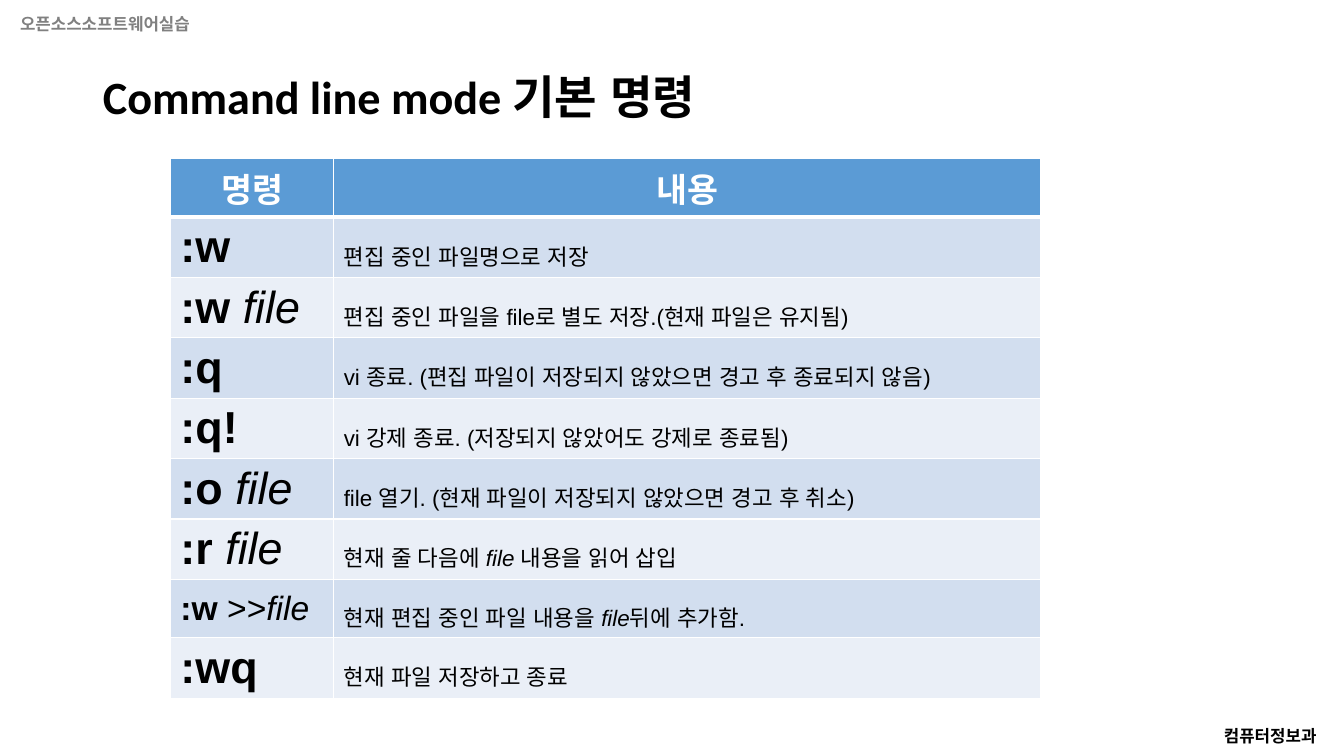
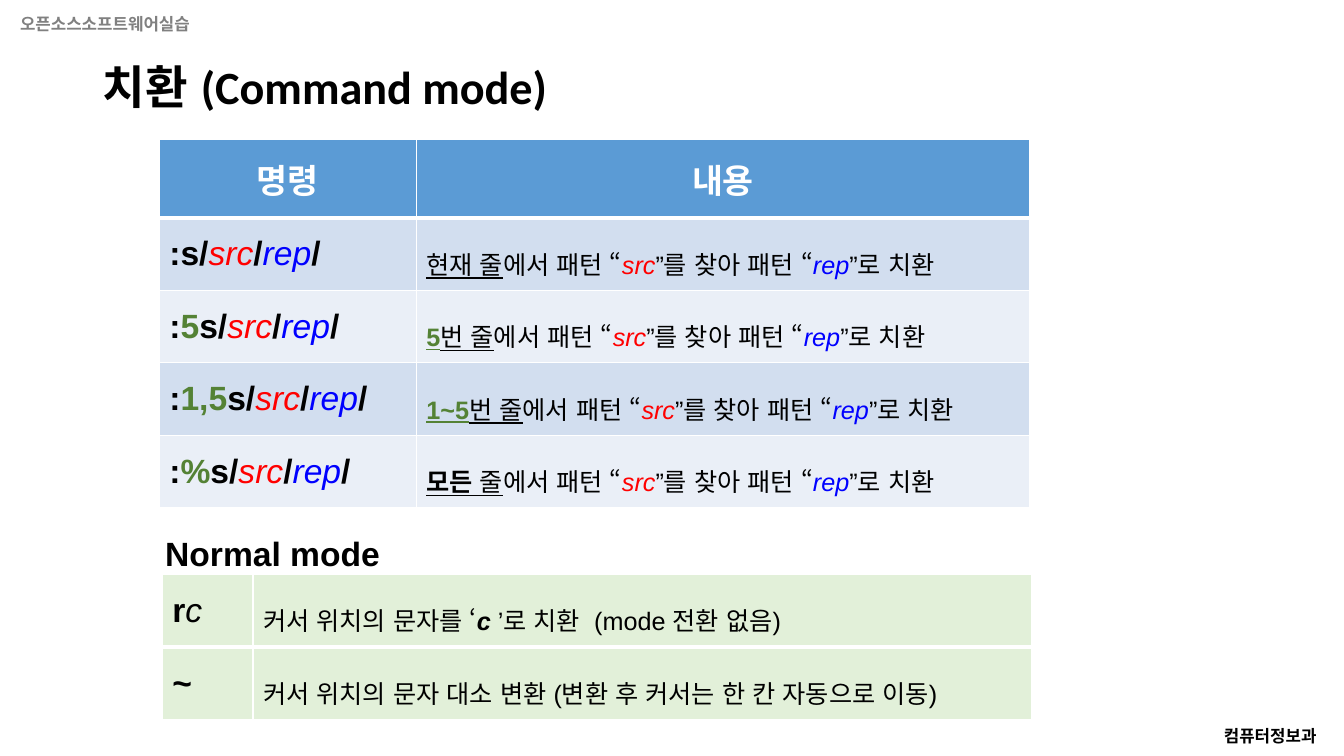
"""Build two slides on vi command-line and substitution commands."""
from lxml import etree
from pptx import Presentation
from pptx import util as u
from pptx.dml.color import RGBColor
from pptx.enum import lang, text
from pptx.oxml.ns import qn

THEME = {
    "ink": "000000", "grey": "808080", "white": "FFFFFF",
    "head": "5B9BD5", "bands": ("D2DEEF", "EAEFF7"), "mint": ("E2F0D9",),
    "title_font": "Calibri", "body_font": "Arial",
    "title": 33, "large": 32, "medium": 24, "note": 18, "small": 16, "label": 12,
    "thin": 1, "thick": 3,
}
STYLES = {
    "plain": {"bold": False},
    "italic": {"bold": False, "italic": True},
    "strong": {"bold": True, "italic": True},
    "source": {"bold": False, "italic": True, "color": "FF0000"},
    "replacement": {"bold": False, "italic": True, "color": "0000FF"},
    "range": {"bold": True, "color": "548235"},
    "range_line": {"bold": True, "color": "548235", "underline": True},
    "bold_line": {"bold": True, "underline": True},
    "line": {"underline": True},
}
FILE = ("file", "italic")
SOURCE = ("src", "source")
REPLACEMENT = ("rep", "replacement")
HEADINGS = ("명령", "내용")

COURSE = "오픈소스소프트웨어실습"
DEPARTMENT = "컴퓨터정보과"
TITLES = ("Command line mode 기본 명령", "치환 (Command mode)")
BASIC_COMMANDS = [
    ([":w"], ["편집 중인 파일명으로 저장"]),
    ([":w ", FILE], ["편집 중인 파일을 file로 별도 저장.(현재 파일은 유지됨)"]),
    ([":q"], ["vi 종료. (편집 파일이 저장되지 않았으면 경고 후 종료되지 않음)"]),
    ([":q!"], ["vi 강제 종료. (저장되지 않았어도 강제로 종료됨)"]),
    ([":o ", FILE], ["file 열기. (현재 파일이 저장되지 않았으면 경고 후 취소)"]),
    ([":r ", FILE], ["현재 줄 다음에 ", FILE, " 내용을 읽어 삽입"]),
    ([":w ", (">>", "plain"), FILE],
     ["현재 편집 중인 파일 내용을 ", FILE, "뒤에 추가함."]),
    ([":wq"], ["현재 파일 저장하고 종료"]),
]
SUBSTITUTION_TARGETS = [
    ([":"], [("현재 줄", "line")]),
    ([":", ("5", "range")], [("5", "range_line"), ("번 줄", "line")]),
    ([":", ("1,5", "range")], [("1~5", "range_line"), ("번 줄", "line")]),
    ([":", ("%", "range")], [("모든", "bold_line"), (" 줄", "line")]),
]
SUBSTITUTIONS = [
    (prefix + ["s/", SOURCE, "/", REPLACEMENT, "/"],
     target + ["에서 패턴 “", SOURCE, "”를 찾아 패턴 “", REPLACEMENT, "”로 치환"])
    for prefix, target in SUBSTITUTION_TARGETS
]
NORMAL_HEADING = "Normal mode"
NORMAL_COMMANDS = [
    (["r", ("c", "italic")],
     ["커서 위치의 문자를 ‘", ("c ", "strong"), "’로 치환  (mode 전환 없음)"]),
    (["~"], ["커서 위치의 문자 대소 변환 (변환 후 커서는 한 칸 자동으로 이동)"]),
]


def write(frame, spans, *, size, font=THEME["body_font"], color=THEME["ink"],
          bold=False, align=text.PP_ALIGN.LEFT, spacing=None):
    """Write styled spans as the single paragraph of a text frame."""
    para = frame.paragraphs[0]
    para.alignment = align
    if spacing:
        para.line_spacing = spacing
    for part in spans:
        words, style = (part, None) if isinstance(part, str) else part
        look = {"color": color, "bold": bold, **STYLES.get(style, {})}
        span = para.add_run()
        span.text = words
        span.font.name = font
        span.font.size = u.Pt(size)
        span.font.bold = look["bold"]
        span.font.italic = look.get("italic", False)
        span.font.underline = look.get("underline", False)
        span.font.color.rgb = RGBColor.from_string(look["color"])
        span.font.language_id = lang.MSO_LANGUAGE_ID.KOREAN


def add_label(page, words, bounds, **look):
    """Add a bold one-line text box."""
    box = page.shapes.add_textbox(*map(u.Inches, bounds))
    box.text_frame.word_wrap = False
    box.text_frame.auto_size = text.MSO_AUTO_SIZE.SHAPE_TO_FIT_TEXT
    write(box.text_frame, [words], bold=True, **look)
    return box


def add_page(deck, layout, words, height):
    """Add a slide with its formatted title."""
    page = deck.slides.add_slide(layout)
    title = page.shapes.title
    title.left, title.top, title.width, title.height = map(
        u.Inches, (0.92, 0.4, 11.5, height))
    title.text_frame.word_wrap = True
    title.text_frame.auto_size = text.MSO_AUTO_SIZE.NONE
    title.text_frame.vertical_anchor = text.MSO_ANCHOR.MIDDLE
    write(title.text_frame, [words], size=THEME["title"],
          font=THEME["title_font"], bold=True, spacing=0.9)
    return page


def paint_cell(cell, fill, top, bottom):
    """Fill a cell and draw its white borders."""
    cell.vertical_anchor = text.MSO_ANCHOR.MIDDLE
    cell.fill.solid()
    cell.fill.fore_color.rgb = RGBColor.from_string(fill)
    properties = cell._tc.get_or_add_tcPr()
    sides = {"L": THEME["thin"], "R": THEME["thin"], "T": top, "B": bottom}
    for place, (side, width) in enumerate(sides.items()):
        line = etree.Element(qn(f"a:ln{side}"), w=str(u.Pt(width)))
        solid = etree.SubElement(line, qn("a:solidFill"))
        etree.SubElement(solid, qn("a:srgbClr"), val=THEME["white"])
        properties.insert(place, line)


def add_commands(page, commands, origin, columns, row_height, *, bands,
                 note_size, size_of, head_height=None):
    """Add a two-column command table, with a heading row if it has a height."""
    has_head = head_height is not None
    heights = [head_height] * has_head + [row_height] * len(commands)
    bounds = (*origin, sum(columns), sum(heights))
    table = page.shapes.add_table(
        len(heights), len(columns), *map(u.Inches, bounds)).table
    table.first_row = has_head
    table.horz_banding = False
    for column, width in zip(table.columns, columns):
        column.width = u.Inches(width)
    for row, height in zip(table.rows, heights):
        row.height = u.Inches(height)
    rows = [tuple([name] for name in HEADINGS)] * has_head + commands
    for index, row in enumerate(rows):
        is_head = has_head and index == 0
        fill = THEME["head"] if is_head else bands[(index - has_head) % len(bands)]
        top = THEME["thick" if index == 1 else "thin"]
        bottom = THEME["thick" if index == 0 else "thin"]
        for column, spans in enumerate(row):
            cell = table.cell(index, column)
            paint_cell(cell, fill, top, bottom)
            if is_head:
                look = {"size": THEME["medium"], "color": THEME["white"],
                        "bold": True, "align": text.PP_ALIGN.CENTER}
            elif column == 0:
                look = {"size": size_of(spans), "bold": True}
            else:
                look = {"size": note_size, "spacing": 1.5}
            write(cell.text_frame, spans, **look)


def basic_size(spans):
    """Give the longest basic command a smaller size."""
    return THEME["medium" if len(spans) > 2 else "large"]


def medium_size(spans):
    """Give every command the medium size."""
    return THEME["medium"]


def main():
    """Build and save the deck."""
    deck = Presentation()
    deck.slide_width, deck.slide_height = u.Inches(13.33), u.Inches(7.5)
    layout = deck.slide_layouts[5]

    page = add_page(deck, layout, TITLES[0], 1.18)
    for words, bounds, color in (
            (DEPARTMENT, (12.04, 7.15, 1.21, 0.3), THEME["ink"]),
            (COURSE, (0.1, 0.09, 2.05, 0.3), THEME["grey"])):
        label = add_label(page, words, bounds, size=THEME["label"],
                          font=THEME["title_font"], color=color)
        layout.shapes.element.append(label.element)
    add_commands(page, BASIC_COMMANDS, (1.69, 1.57), (1.62, 7.01), 0.58,
                 head_height=0.58, bands=THEME["bands"],
                 note_size=THEME["small"], size_of=basic_size)

    page = add_page(deck, layout, TITLES[1], 0.98)
    add_commands(page, SUBSTITUTIONS, (1.58, 1.38), (2.55, 6.08), 0.72,
                 head_height=0.78, bands=THEME["bands"],
                 note_size=THEME["note"], size_of=medium_size)
    add_commands(page, NORMAL_COMMANDS, (1.61, 5.7), (0.9, 7.72), 0.72,
                 bands=THEME["mint"], note_size=THEME["note"],
                 size_of=medium_size)
    add_label(page, NORMAL_HEADING, (1.54, 5.24, 2.43, 0.5),
              size=THEME["medium"])
    deck.save("out.pptx")


if __name__ == "__main__":
    main()
